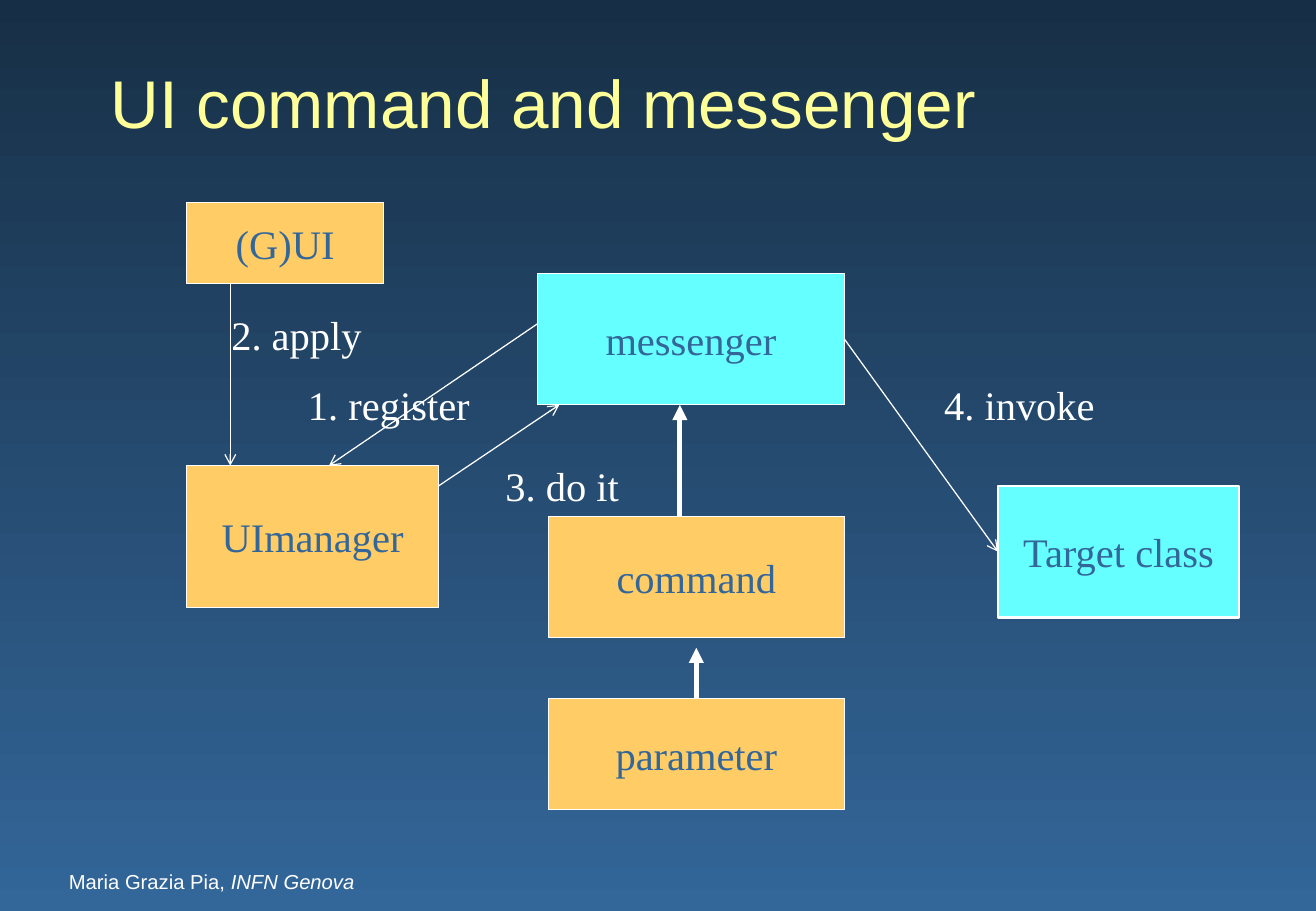
from lxml.etree import SubElement
from pptx import Presentation
from pptx.dml.color import RGBColor
from pptx.enum.shapes import MSO_CONNECTOR, MSO_SHAPE
from pptx.enum.text import MSO_ANCHOR, PP_ALIGN
from pptx.oxml.ns import qn
from pptx.util import Inches, Pt

WIDTH, HEIGHT = 10.84, 7.5
COLUMNS, ROWS = 120, 90
SANS, SERIF = "Arial", "Times New Roman"
WHITE, BLUE, NAVY = "FFFFFF", "336699", "172F46"
YELLOW, ORANGE, CYAN = "FFFF99", "FFCC66", "66FFFF"
TOP, LEFT, BOTTOM, RIGHT = range(4)

NODES = [
    ("(G)UI", (17, 20, 18, 8), ORANGE, 0.75),
    ("UImanager", (17, 46, 23, 14), ORANGE, 0.75),
    ("messenger", (49, 27, 28, 13), CYAN, 0.75),
    ("command", (50, 51, 27, 12), ORANGE, 0.75),
    ("parameter", (50, 69, 27, 11), ORANGE, 0.75),
    ("Target class", (91, 48, 22, 13), CYAN, 1.5),
]
ARROWS = [
    ((62, 51), (62, 40), 3, "triangle"),
    (("parameter", TOP), (63.5, 64), 3, "triangle"),
    ((49, 32), (30, 46), 0.75, "arrow"),
    ((21, 28), (21, 46), 0.75, "arrow"),
    ((40, 48), (51, 40), 0.75, "arrow"),
    (("messenger", RIGHT), ("Target class", LEFT), 0.75, "arrow"),
]
LABELS = [
    ("1. register", (27, 37, 21, 6)),
    ("2. apply", (20, 30, 24, 6)),
    ("3. do it", (45, 45, 20, 6)),
    ("4. invoke", (85, 37, 20, 6)),
]


def color(value):
    return RGBColor.from_string(value)


def across(columns):
    return Inches(WIDTH * columns / COLUMNS)


def down(rows):
    return Inches(HEIGHT * rows / ROWS)


def place(area):
    left, top, width, height = area
    return across(left), down(top), across(width), down(height)


def write(box, texts, size, font, ink, anchor=MSO_ANCHOR.MIDDLE, align=PP_ALIGN.LEFT, wrap=True):
    frame = box.text_frame
    frame.word_wrap = wrap
    frame.vertical_anchor = anchor
    para = frame.paragraphs[0]
    para.alignment = align
    for text, italic in texts:
        span = para.add_run()
        span.text = text
        span.font.size = Pt(size)
        span.font.name = font
        span.font.italic = italic
        span.font.color.rgb = color(ink)


def add_text(page, area, texts, size, font, ink, anchor=MSO_ANCHOR.MIDDLE):
    write(page.shapes.add_textbox(*place(area)), texts, size, font, ink, anchor)


def add_node(page, name, area, fill, weight):
    box = page.shapes.add_shape(MSO_SHAPE.RECTANGLE, *place(area))
    box.shadow.inherit = False
    box.fill.solid()
    box.fill.fore_color.rgb = color(fill)
    box.line.color.rgb = color(WHITE)
    box.line.width = Pt(weight)
    write(box, [(name, False)], 24, SERIF, BLUE, align=PP_ALIGN.CENTER, wrap=False)
    return box


def add_arrow(page, nodes, start, end, weight, head):
    points = [(0, 0) if point[0] in nodes else (across(point[0]), down(point[1]))
              for point in (start, end)]
    arrow = page.shapes.add_connector(MSO_CONNECTOR.STRAIGHT, *points[0], *points[1])
    for point, connect in ((start, arrow.begin_connect), (end, arrow.end_connect)):
        if point[0] in nodes:
            connect(nodes[point[0]], point[1])
    arrow.line.color.rgb = color(WHITE)
    arrow.line.width = Pt(weight)
    SubElement(arrow.line._get_or_add_ln(), qn("a:tailEnd"), type=head)
    SubElement(arrow._element.spPr, qn("a:effectLst"))


def add_diagram(page):
    nodes = {name: add_node(page, name, area, fill, weight)
             for name, area, fill, weight in NODES}
    for start, end, weight, head in ARROWS:
        add_arrow(page, nodes, start, end, weight, head)
    for text, area in LABELS:
        add_text(page, area, [(text, False)], 24, SERIF, WHITE, MSO_ANCHOR.TOP)


def paint_background(page):
    fill = page.background.fill
    fill.gradient()
    fill.gradient_angle = 270
    for stop, shade in zip(fill.gradient_stops, (NAVY, BLUE)):
        stop.color.rgb = color(shade)


def main():
    deck = Presentation()
    deck.slide_width, deck.slide_height = Inches(WIDTH), Inches(HEIGHT)
    page = deck.slides.add_slide(deck.slide_layouts[6])
    paint_background(page)
    add_text(page, (5.2, 85.3, 33.5, 3.6),
             [("Maria Grazia Pia,", False), (" INFN Genova", True)], 12, SANS, WHITE)
    add_text(page, (9, 4.4, 102, 11.3), [("UI command and messenger", False)], 40, SANS, YELLOW)
    add_diagram(page)
    deck.save("out.pptx")


if __name__ == "__main__":
    main()
